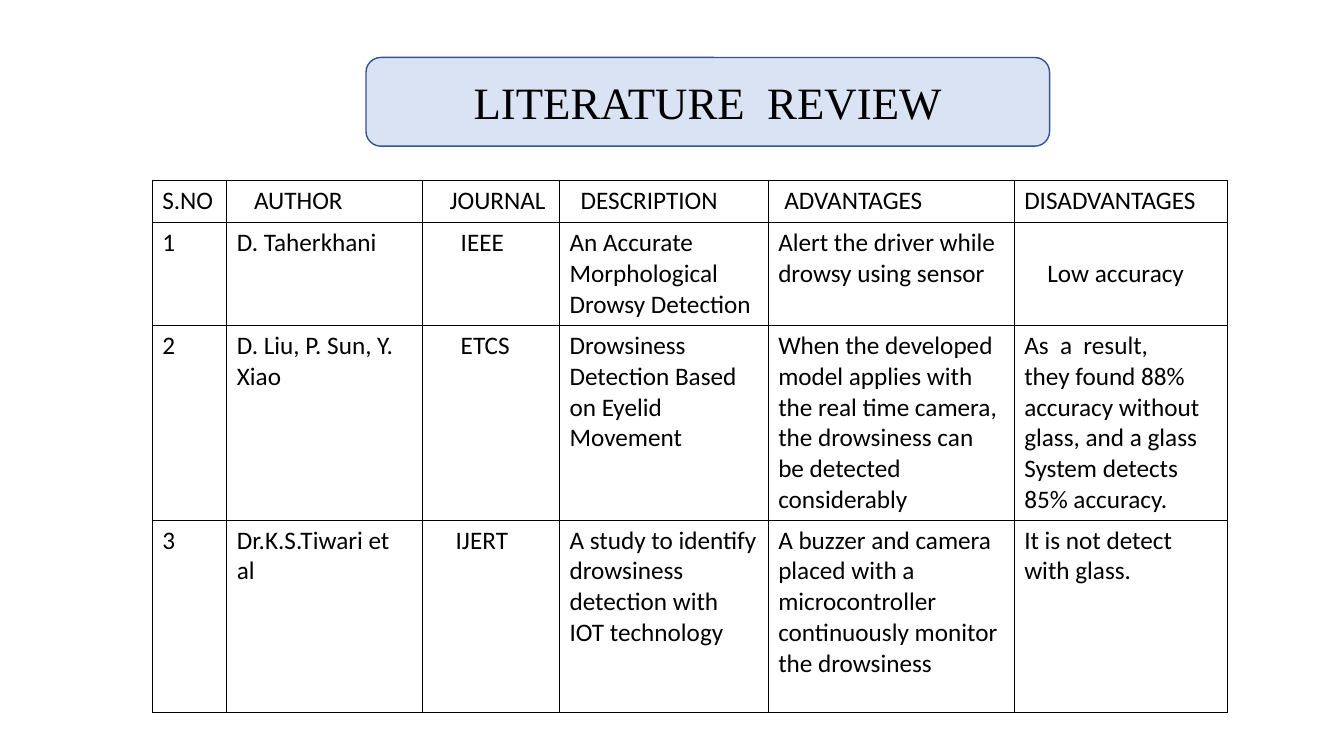
"""Build the literature review slide with its title banner and table."""
from dataclasses import dataclass

from lxml import etree
from pptx import Presentation
from pptx.dml.color import RGBColor
from pptx.enum.shapes import MSO_SHAPE
from pptx.enum.text import MSO_ANCHOR, PP_ALIGN
from pptx.oxml.ns import qn
from pptx.util import Inches, Pt

ROUNDED = MSO_SHAPE.ROUNDED_RECTANGLE
MIDDLE = MSO_ANCHOR.MIDDLE
CENTER = PP_ALIGN.CENTER
BLANK_LAYOUT = 6


@dataclass(frozen=True)
class Theme:
    ink: str = "000000"
    banner_fill: str = "DAE3F3"
    banner_line: str = "325491"
    title_font: str = "Times New Roman"
    body_font: str = "Calibri"
    title_size: int = 32
    body_size: int = 18
    line_width: int = 1


theme = Theme()


def style_paragraph(paragraph, font_name, size):
    paragraph.font.name = font_name
    paragraph.font.size = Pt(size)
    paragraph.font.color.rgb = RGBColor.from_string(theme.ink)


def add_borders(cell):
    properties = cell._tc.get_or_add_tcPr()
    for side in ("lnL", "lnR", "lnT", "lnB"):
        line = etree.SubElement(properties, qn(f"a:{side}"), w=str(Pt(theme.line_width)))
        fill = etree.SubElement(line, qn("a:solidFill"))
        etree.SubElement(fill, qn("a:srgbClr"), val=theme.ink)


presentation = Presentation()
presentation.slide_width = Inches(13.33)
presentation.slide_height = Inches(7.5)
slide = presentation.slides.add_slide(presentation.slide_layouts[BLANK_LAYOUT])

column_widths = [0.74, 1.94, 1.36, 2.07, 2.44, 2.12]
row_heights = [0.42, 1.02, 1.93, 1.91]
review_rows = [
    ["S.NO", "AUTHOR", "JOURNAL", "DESCRIPTION", "ADVANTAGES", "DISADVANTAGES"],
    ["1", "D. Taherkhani", "IEEE", "An Accurate Morphological Drowsy Detection",
     "Alert the driver while drowsy using sensor", "Low accuracy"],
    ["2", "D. Liu, P. Sun, Y. Xiao", "ETCS",
     "Drowsiness Detection Based on Eyelid Movement",
     "When the developed model applies with the real time camera, "
     "the drowsiness can be detected considerably",
     "As  a  result,\nthey found 88% accuracy without\nglass, and a glass\n"
     "System detects 85% accuracy."],
    ["3", "Dr.K.S.Tiwari et al", "IJERT",
     "A study to identify drowsiness detection with IOT technology",
     "A buzzer and camera placed with a microcontroller "
     "continuously monitor the drowsiness",
     "It is not detect with glass."],
]
text_indents = {
    "AUTHOR": 0.17, "JOURNAL": 0.17, "DESCRIPTION": 0.11, "ADVANTAGES": 0.06,
    "IEEE": 0.28, "ETCS": 0.28, "IJERT": 0.23, "Low accuracy": 0.23,
}
text_drops = {"Low accuracy": 0.3}

table = slide.shapes.add_table(
    len(row_heights), len(column_widths), Inches(1.51), Inches(1.79),
    Inches(sum(column_widths)), Inches(sum(row_heights)),
).table
table.first_row = False
table.horz_banding = False
for column, width in zip(table.columns, column_widths):
    column.width = Inches(width)
for row, height, texts in zip(table.rows, row_heights, review_rows):
    row.height = Inches(height)
    for cell, text in zip(row.cells, texts):
        cell.text = text
        cell.margin_left = Inches(0.1 + text_indents.get(text, 0))
        cell.margin_top = Inches(0.05 + text_drops.get(text, 0))
        add_borders(cell)
        cell.fill.background()
        for paragraph in cell.text_frame.paragraphs:
            style_paragraph(paragraph, theme.body_font, theme.body_size)

banner = slide.shapes.add_shape(
    ROUNDED, Inches(3.63), Inches(0.57), Inches(6.78), Inches(0.88))
banner.shadow.inherit = False
banner.fill.solid()
banner.fill.fore_color.rgb = RGBColor.from_string(theme.banner_fill)
banner.line.color.rgb = RGBColor.from_string(theme.banner_line)
banner.line.width = Pt(theme.line_width)
banner.text_frame.vertical_anchor = MIDDLE
title = banner.text_frame.paragraphs[0]
title.text = "LITERATURE  REVIEW"
title.alignment = CENTER
style_paragraph(title, theme.title_font, theme.title_size)

presentation.save("out.pptx")
